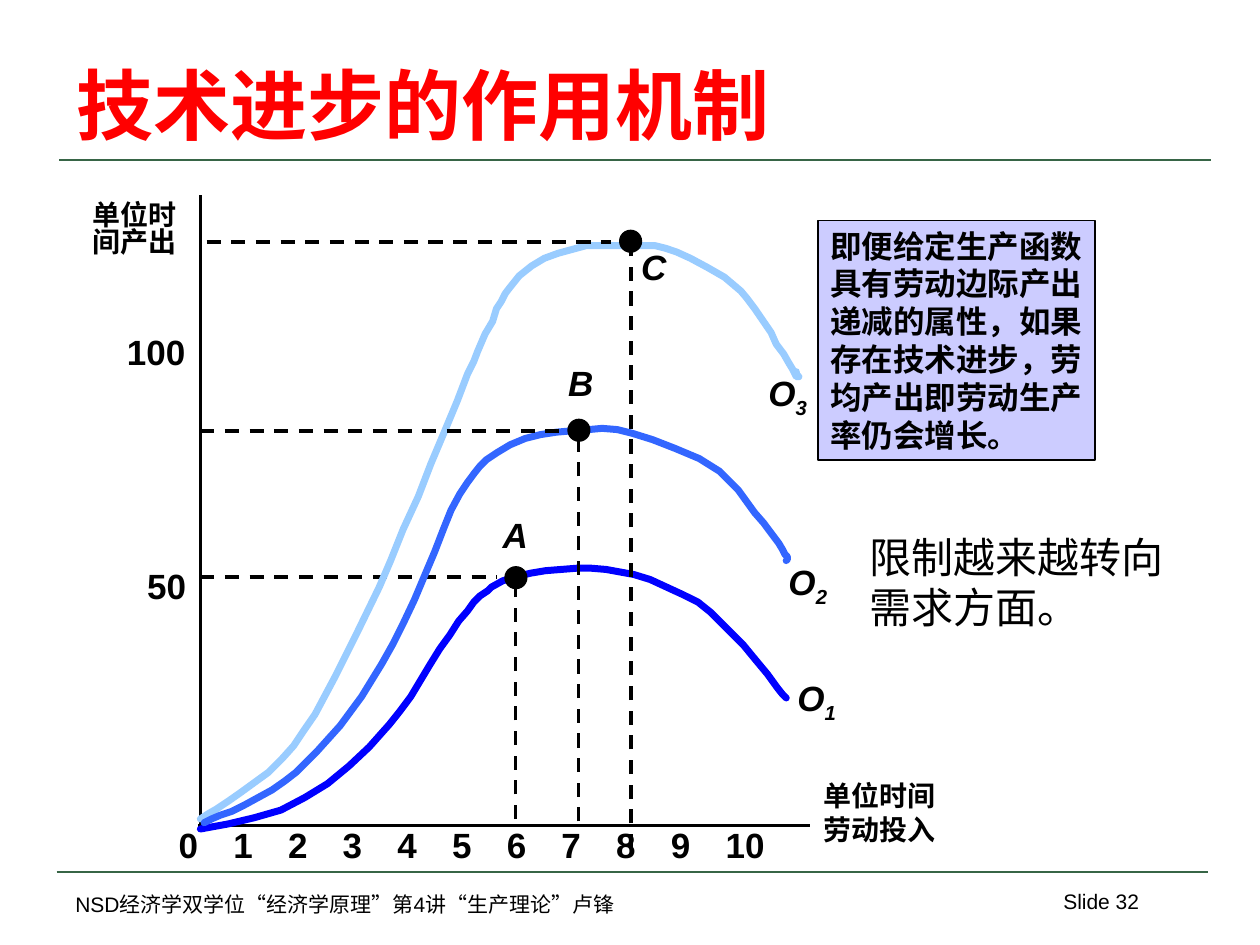
from pptx import Presentation
from pptx.dml.color import RGBColor
from pptx.enum.dml import MSO_LINE
from pptx.enum.shapes import MSO_CONNECTOR, MSO_SHAPE
from pptx.enum.text import MSO_ANCHOR, MSO_AUTO_SIZE, PP_ALIGN
from pptx.oxml.ns import qn
from pptx.util import Pt

DASH = MSO_LINE.DASH
LINE = MSO_CONNECTOR.STRAIGHT
RECT, OVAL = MSO_SHAPE.RECTANGLE, MSO_SHAPE.OVAL
BOTTOM, TOP = MSO_ANCHOR.BOTTOM, MSO_ANCHOR.TOP
LEFT, RIGHT = PP_ALIGN.LEFT, PP_ALIGN.RIGHT
GROW, FIXED = MSO_AUTO_SIZE.SHAPE_TO_FIT_TEXT, MSO_AUTO_SIZE.NONE

SCALE = 9144  # EMU per px, 100 px to the inch
HAN = "Noto Sans CJK SC"
COLORS = {
    "ink": "000000", "title": "FF0000", "rule": "376546", "note": "CCCCFF",
    "low": "0000FF", "mid": "3366FF", "high": "99CCFF",
}

# Text formats
BASE = {"name": "Arial", "bold": False, "italic": False}
SMALL = {**BASE, "size": Pt(12)}
AXIS = {**BASE, "size": Pt(16), "bold": True}
TICK = {**BASE, "size": Pt(20), "bold": True}
MARK = {**TICK, "italic": True}
NOTE = {**BASE, "size": Pt(18), "bold": True}
HEAD = {**BASE, "size": Pt(44), "bold": True}
REMARK = {**BASE, "size": Pt(24), "name": HAN}

# Output curves, from the lowest technology to the highest
LOW = [
    (159, 658), (181, 654), (202, 649), (223, 643), (242, 633), (260, 622), (277, 608),
    (293, 593), (309, 575), (317, 565), (326, 553), (341, 528), (349, 515), (357, 504),
    (364, 493), (371, 485), (376, 478), (381, 473), (387, 469), (390, 466), (399, 461),
    (409, 458), (421, 455), (433, 453), (458, 451), (469, 451), (481, 452), (503, 456),
    (516, 460), (529, 466), (542, 472), (554, 478), (564, 486), (572, 494), (590, 512),
    (599, 523), (609, 535), (617, 546), (621, 551), (624, 554),
]
MID = [
    (162, 653), (168, 650), (175, 647), (184, 644), (194, 639), (216, 627), (226, 620),
    (235, 613), (252, 596), (270, 576), (287, 553), (303, 527), (312, 511), (320, 495),
    (329, 476), (337, 457), (345, 438), (352, 420), (358, 405), (365, 392), (371, 383),
    (377, 375), (381, 370), (386, 365), (395, 359), (405, 353), (417, 348), (429, 345),
    (442, 343), (454, 342), (467, 341), (478, 340), (490, 341), (502, 344), (518, 349),
    (536, 356), (555, 364), (571, 374), (578, 381), (586, 389), (599, 407), (606, 415),
    (612, 423), (618, 431), (621, 436), (623, 440), (625, 442), (625, 444), (624, 445),
]
HIGH = [
    (159, 650), (165, 646), (172, 642), (181, 636), (191, 629), (213, 613), (224, 602),
    (233, 592), (241, 580), (250, 567), (266, 537), (283, 503), (301, 466), (310, 445),
    (320, 420), (332, 394), (342, 368), (353, 342), (363, 318), (371, 297), (376, 287),
    (379, 279), (385, 265), (391, 255), (394, 245), (398, 239), (401, 233), (404, 229),
    (412, 219), (422, 211), (432, 205), (443, 201), (454, 198), (465, 195), (520, 195),
    (528, 197), (537, 200), (548, 205), (561, 212), (575, 220), (588, 231), (593, 237),
    (599, 245), (612, 264), (616, 273), (622, 281), (626, 288), (629, 293), (631, 297),
    (632, 299), (634, 299), (632, 297), (632, 295),
]

# points, color, dash across, dash down, dot, letter and its place, index and its place
CURVES = [
    (LOW, "low", (159, 458, 394, 458), (409, 650, 409, 459), (401, 450),
     "A", (389, 403), "1", (623, 532)),
    (HIGH, "high", (164, 192, 485, 192), (501, 673, 501, 196), (492, 183),
     "C", (499, 190), "3", (600, 290)),
    (MID, "mid", (159, 342, 444, 342), (459, 652, 459, 344), (451, 333),
     "B", (441, 282), "2", (616, 440)),
]


def px(*vals):
    return [round(v * SCALE) for v in vals]


def rgb(key):
    return RGBColor.from_string(COLORS[key])


def style(run, form, color="ink"):
    for key, val in form.items():
        setattr(run.font, key, val)
    run.font.color.rgb = rgb(color)
    han = run.font._element.makeelement(qn("a:ea"), {"typeface": HAN})
    run.font._element.find(qn("a:latin")).addnext(han)


def write(shape, lines, form, color="ink", wrap=False, align=LEFT,
          anchor=TOP, size=GROW, space=None):
    frame = shape.text_frame
    for key, val in {"word_wrap": wrap, "auto_size": size,
                     "vertical_anchor": anchor}.items():
        setattr(frame, key, val)
    for num, line in enumerate(lines):
        para = frame.add_paragraph() if num else frame.paragraphs[0]
        para.alignment = align
        para.line_spacing = space
        run = para.add_run()
        run.text = line
        style(run, form, color)
    return frame


def label(slide, box, lines, form, **opts):
    return write(slide.shapes.add_textbox(*px(*box)), lines, form, **opts)


def line(slide, ends, color="ink", width=2, dash=None):
    link = slide.shapes.add_connector(LINE, *px(*ends))
    link.line.color.rgb = rgb(color)
    link.line.width = Pt(width)
    link.line.dash_style = dash
    props = link._element.spPr
    props.append(props.makeelement(qn("a:effectLst"), {}))


def block(slide, kind, box, fill):
    shape = slide.shapes.add_shape(kind, *px(*box))
    shape.shadow.inherit = False
    shape.fill.solid()
    shape.fill.fore_color.rgb = rgb(fill)
    shape.line.color.rgb = rgb("ink")
    shape.line.width = Pt(1)
    return shape


def curve(slide, points, color):
    pen = slide.shapes.build_freeform(*points[0], scale=SCALE)
    pen.add_line_segments(points[1:], close=False)
    shape = pen.convert_to_shape()
    shape.shadow.inherit = False
    shape.fill.background()
    shape.line.color.rgb = rgb(color)
    shape.line.width = Pt(4)
    shape._element.spPr.find(qn("a:ln")).set("cap", "rnd")


def output(slide, points, color, across, down, dot, name, spot, index, end):
    curve(slide, points, color)
    for ends in (down, across):
        line(slide, ends, dash=DASH)
    block(slide, OVAL, (*dot, 17, 17), "ink")
    label(slide, (*spot, 41, 43), [name], MARK)
    frame = label(slide, (*end, 56, 48), ["O"], MARK)
    sub = frame.paragraphs[0].add_run()
    sub.text = index
    style(sub, MARK)
    sub.font._element.set("baseline", "-25000")


def main():
    deck = Presentation()
    deck.slide_width, deck.slide_height = px(1000, 750)
    slide = deck.slides.add_slide(deck.slide_layouts[5])

    # Title, rules and footer
    title = slide.shapes.title
    title.left, title.top, title.width, title.height = px(51, 39, 873, 85)
    write(title, ["技术进步的作用机制"], HEAD, "title", wrap=True,
          anchor=BOTTOM, size=FIXED)
    line(slide, (47, 127, 961, 127), "rule", 1.5)
    line(slide, (45, 692, 959, 692), "rule", 1.5)
    label(slide, (50, 703, 630, 30), ["NSD经济学双学位“经济学原理”第4讲“生产理论”卢锋"],
          SMALL, wrap=True, size=FIXED)
    label(slide, (794, 700, 120, 50), ["Slide 32"], SMALL, wrap=True,
          align=RIGHT, size=FIXED)

    # Axes with their names and ticks
    line(slide, (159, 155, 159, 657))
    line(slide, (157, 655, 643, 655))
    label(slide, (644, 613, 122, 63), ["单位时间", "劳动投入"], AXIS, wrap=True)
    label(slide, (55, 157, 95, 52), ["单位时", "间产出"], AXIS, wrap=True,
          align=RIGHT, space=0.8)
    label(slide, (107, 443, 52, 43), ["50"], TICK)
    label(slide, (91, 257, 70, 43), ["100"], TICK)
    for num in range(11):
        label(slide, (132 + 43.4 * num, 649, 52 if num > 9 else 36, 43), [str(num)], TICK)

    # Curves with their peaks
    for item in CURVES:
        output(slide, *item)

    # Comments
    note = block(slide, RECT, (649, 175, 220, 190), "note")
    write(note, ["即便给定生产函数", "具有劳动边际产出", "递减的属性，如果",
                 "存在技术进步，劳", "均产出即劳动生产", "率仍会增长。"], NOTE)
    label(slide, (680, 417, 275, 90), ["限制越来越转向需求方面。"], REMARK, wrap=True)

    deck.save("out.pptx")


if __name__ == "__main__":
    main()
